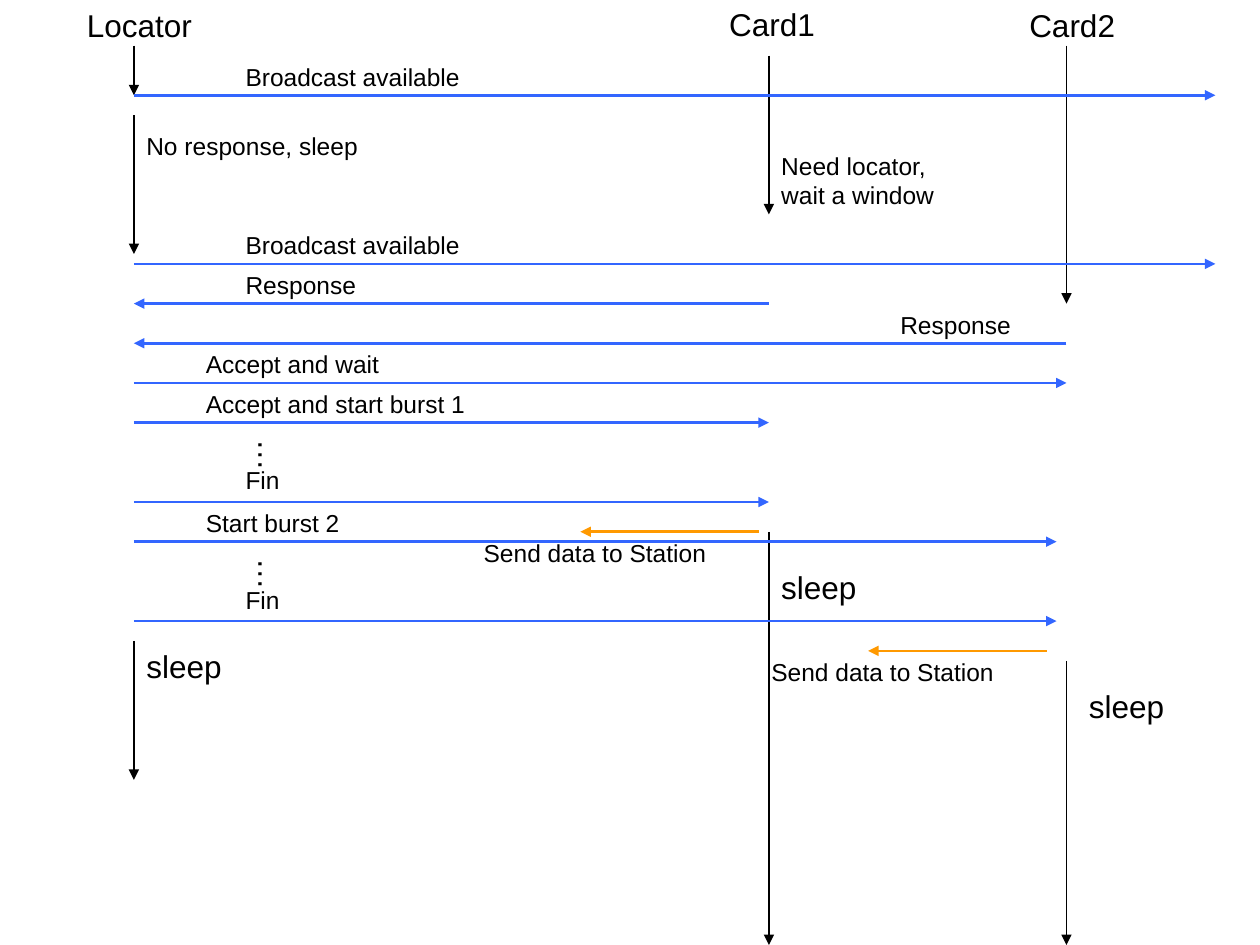
"""Sequence diagram of a locator handing out burst windows to two cards."""
from lxml.etree import SubElement
from pptx import Presentation
from pptx.dml.color import RGBColor
from pptx.enum.shapes import MSO_CONNECTOR
from pptx.enum.text import MSO_AUTO_SIZE
from pptx.oxml.ns import qn
from pptx.util import Inches, Pt

COLORS = {"ink": "000000", "message": "3366FF", "upload": "FF9900"}
FONT = "Arial"
UNIT = 10 / 127
LEFT_OFFSET, TOP_OFFSET = 0.5, 0.6
LOCATOR, CARD1, CARD2, AIR = 13, 77, 107, 122
SMALL, LARGE = 14, 18


def write(frame, text, size=SMALL, color="ink", insets=(0.1, 0.05)):
    frame.word_wrap = False
    frame.auto_size = MSO_AUTO_SIZE.SHAPE_TO_FIT_TEXT
    frame.margin_left = frame.margin_right = Inches(insets[0])
    frame.margin_top = frame.margin_bottom = Inches(insets[1])
    for index, line in enumerate(text.split("\n")):
        paragraph = frame.paragraphs[0] if index == 0 else frame.add_paragraph()
        run = paragraph.add_run()
        run.text = line
        run.font.name = FONT
        run.font.size = Pt(size)
        run.font.color.rgb = RGBColor.from_string(COLORS[color])


class SequenceDiagram:
    def __init__(self, slide):
        self.slide = slide

    def x(self, column):
        return Inches((column + LEFT_OFFSET) * UNIT)

    def y(self, row):
        return Inches((row + TOP_OFFSET) * UNIT)

    def box(self, column, row, columns, rows):
        return self.slide.shapes.add_textbox(
            self.x(column), self.y(row), Inches(columns * UNIT), Inches(rows * UNIT))

    def label(self, text, column, row, columns, size=SMALL):
        rows = 5.1 if size == LARGE else 4.3 + 2.9 * text.count("\n")
        write(self.box(column, row, columns, rows).text_frame, text, size=size)

    def ellipsis(self, column, row):
        frame = self.box(column, row, 6.35, 4.45).text_frame
        write(frame, "…", size=LARGE, insets=(0.05, 0.1))
        frame._txBody.bodyPr.set("vert", "eaVert")

    def arrow(self, start, end, color, width):
        line = self.slide.shapes.add_connector(
            MSO_CONNECTOR.STRAIGHT, self.x(start[0]), self.y(start[1]),
            self.x(end[0]), self.y(end[1]))
        line.line.color.rgb = RGBColor.from_string(COLORS[color])
        line.line.width = Pt(width)
        SubElement(line.line._get_or_add_ln(), qn("a:tailEnd"), type="triangle")
        SubElement(line._element.spPr, qn("a:effectLst"))

    def lifeline(self, column, top, bottom):
        self.arrow((column, top), (column, bottom), "ink", 0.75)

    def message(self, sender, receiver, row, color="message"):
        self.arrow((sender, row), (receiver, row), color, 1.5)


def main():
    deck = Presentation()
    deck.slide_width, deck.slide_height = Inches(10), Inches(7.5)
    diagram = SequenceDiagram(deck.slides.add_slide(deck.slide_layouts[6]))

    bottom = 7.5 / UNIT - TOP_OFFSET
    lifelines = [
        (LOCATOR, 4, 9), (LOCATOR, 11, 25), (LOCATOR, 64, 78),
        (CARD1, 5, 21), (CARD1, 53, bottom),
        (CARD2, 4, 30), (CARD2, 66, bottom),
    ]
    messages = [
        (LOCATOR, AIR, 9), (LOCATOR, AIR, 26),
        (CARD1, LOCATOR, 30), (CARD2, LOCATOR, 34),
        (LOCATOR, CARD2, 38), (LOCATOR, CARD1, 42), (LOCATOR, CARD1, 50),
        (LOCATOR, CARD2 - 1, 54), (LOCATOR, CARD2 - 1, 62),
        (CARD1 - 1, 58, 53, "upload"), (CARD2 - 2, 87, 65, "upload"),
    ]
    labels = [
        ("Locator", 7, -0.6, 13.1, LARGE),
        ("Card1", 71.75, -0.7, 11.2, LARGE),
        ("Card2", 102, -0.6, 11.2, LARGE),
        ("Broadcast available", 23, 5, 24.6),
        ("No response, sleep", LOCATOR, 12, 24.3),
        ("Need locator,\nwait a window", CARD1, 14, 18.4),
        ("Broadcast available", 23, 22, 24.6),
        ("Response", 23, 26, 14),
        ("Response", 89, 30, 14),
        ("Accept and wait", 19, 34, 20.4),
        ("Accept and start burst 1", 19, 38, 29.2),
        ("Fin", 23, 45.6, 6.2),
        ("Start burst 2", 19, 50, 16.4),
        ("Send data to Station", 47, 53, 25.4),
        ("sleep", CARD1, 56, 10.3, LARGE),
        ("Fin", 23, 57.7, 6.2),
        ("sleep", LOCATOR, 64, 10.3, LARGE),
        ("Send data to Station", 76, 65, 25.4),
        ("sleep", CARD2 + 1, 68, 10.3, LARGE),
    ]
    for lifeline in lifelines:
        diagram.lifeline(*lifeline)
    for message in messages:
        diagram.message(*message)
    for label in labels:
        diagram.label(*label)
    for row in (42.4, 54.4):
        diagram.ellipsis(23, row)

    deck.save("out.pptx")


if __name__ == "__main__":
    main()
